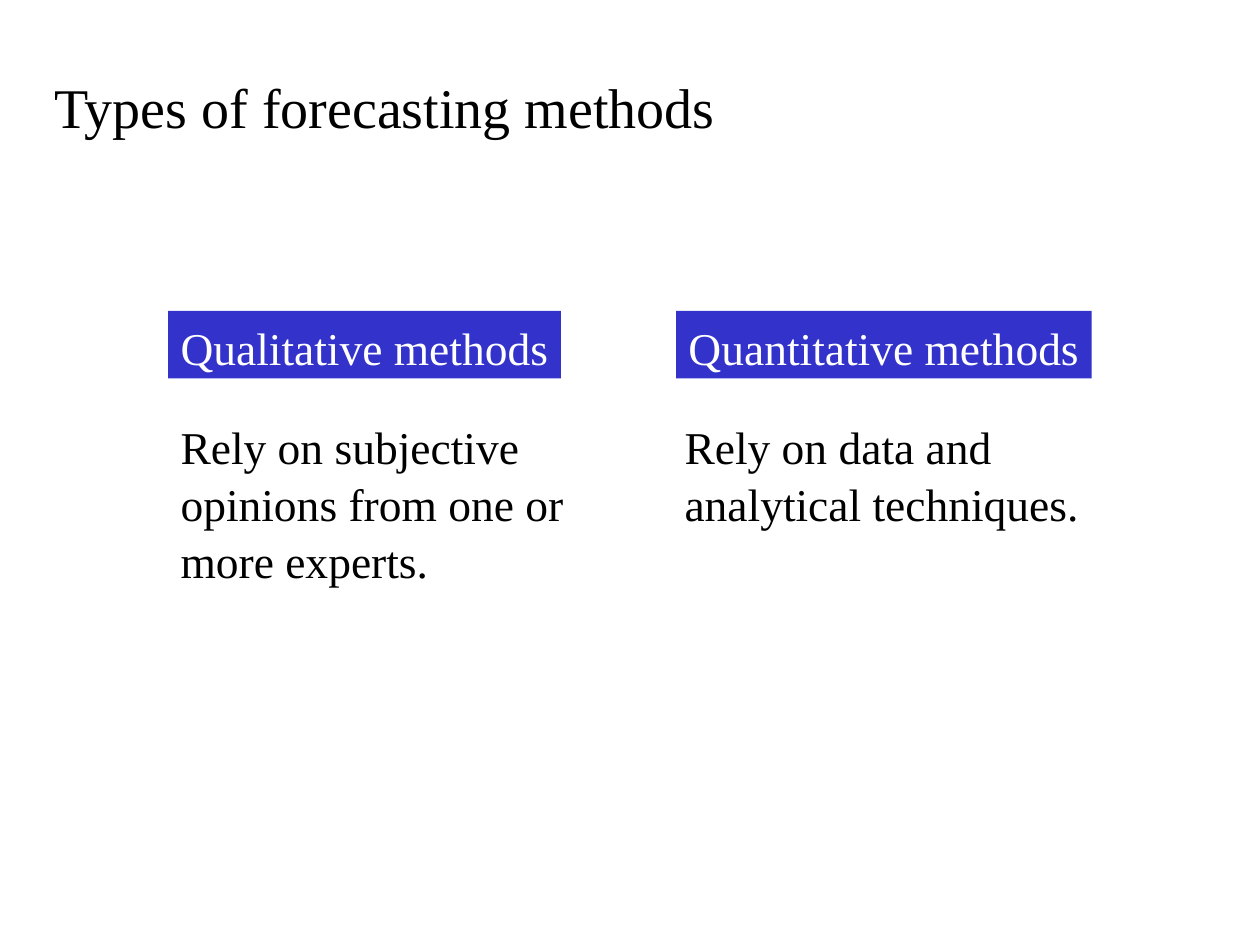
from dataclasses import dataclass

from pptx import Presentation
from pptx import util as u
from pptx.dml.color import RGBColor
from pptx.enum import shapes, text


@dataclass(frozen=True)
class Theme:
    font: str = "Times New Roman"
    ink: str = "000000"
    label_ink: str = "FFFFFF"
    label_fill: str = "3333CC"
    title_size: int = 32
    body_size: int = 26
    line_spacing: float = 1.05


class SlideBuilder:
    def __init__(self, presentation, theme):
        self.theme = theme
        self.slide = presentation.slides.add_slide(presentation.slide_layouts[6])

    def set_words(self, shape, words, size, color, wrap=True):
        frame = shape.text_frame
        frame.word_wrap = wrap
        frame.vertical_anchor = text.MSO_ANCHOR.TOP
        paragraph = frame.paragraphs[0]
        paragraph.alignment = text.PP_ALIGN.LEFT
        paragraph.line_spacing = self.theme.line_spacing
        run = paragraph.add_run()
        run.text = words
        run.font.name = self.theme.font
        run.font.size = u.Pt(size)
        run.font.color.rgb = RGBColor.from_string(color)

    def text_box(self, words, left, top, width, height, size):
        box = self.slide.shapes.add_textbox(
            u.Cm(left), u.Cm(top), u.Cm(width), u.Cm(height))
        self.set_words(box, words, size, self.theme.ink)

    def label(self, words, left, top, width, height):
        shape = self.slide.shapes.add_shape(
            shapes.MSO_SHAPE.RECTANGLE,
            u.Cm(left), u.Cm(top), u.Cm(width), u.Cm(height))
        shape.shadow.inherit = False
        shape.fill.solid()
        shape.fill.fore_color.rgb = RGBColor.from_string(self.theme.label_fill)
        shape.line.fill.background()
        self.set_words(shape, words, self.theme.body_size, self.theme.label_ink, wrap=False)


def main():
    presentation = Presentation()
    presentation.slide_width, presentation.slide_height = u.Cm(25.4), u.Cm(19.05)
    theme = Theme()
    builder = SlideBuilder(presentation, theme)

    builder.text_box("Types of forecasting methods", 0.85, 1.27, 22.86, 1.63,
                     theme.title_size)

    label_top, label_height, body_top = 6.27, 1.36, 8.26
    methods = [
        ("Qualitative methods", 3.39, 7.92,
         "Rely on subjective opinions from one or more experts.", 3.39, 9.95, 3.56),
        ("Quantitative methods", 13.63, 8.38,
         "Rely on data and analytical techniques.", 13.55, 9.74, 2.46),
    ]
    for name, label_left, label_width, description, left, width, height in methods:
        builder.text_box(description, left, body_top, width, height, theme.body_size)
        builder.label(name, label_left, label_top, label_width, label_height)

    presentation.save("out.pptx")


if __name__ == "__main__":
    main()
